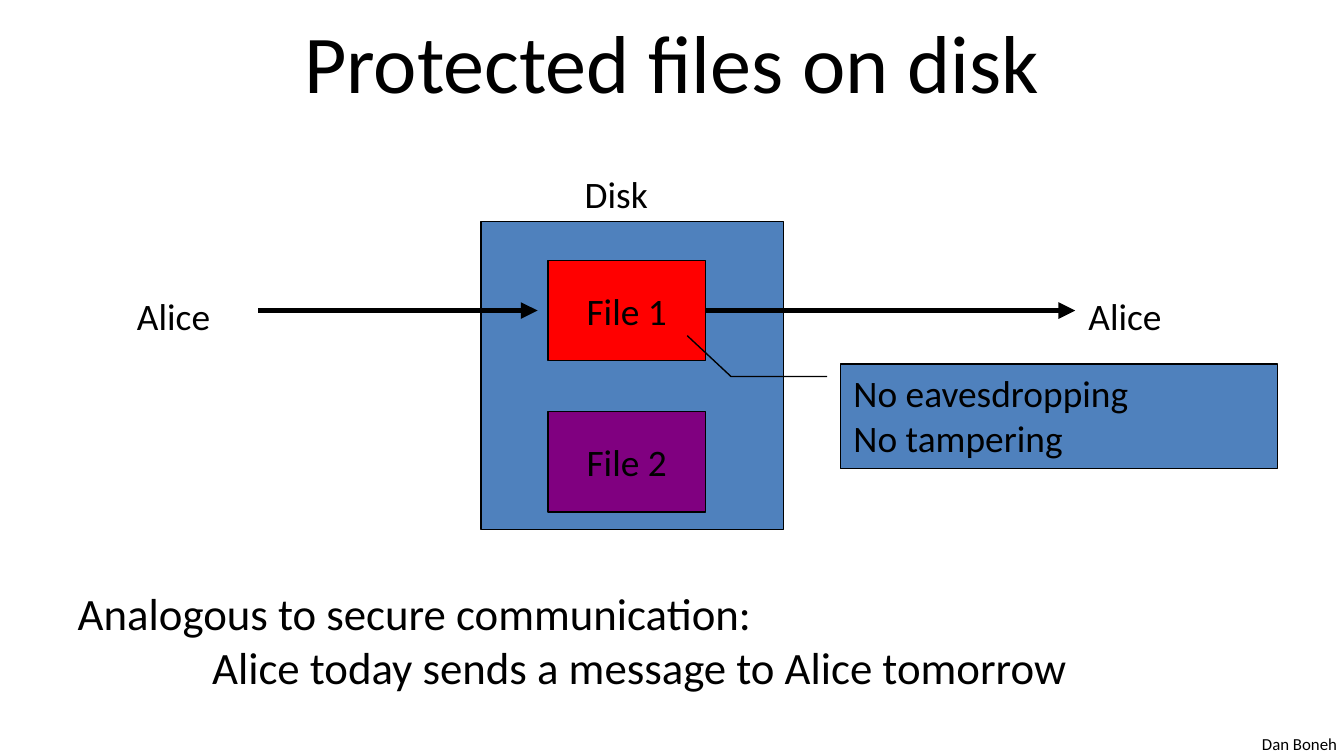
from lxml.etree import SubElement
from pptx import Presentation
from pptx.dml.color import RGBColor
from pptx.enum.shapes import MSO_CONNECTOR, MSO_SHAPE
from pptx.enum.text import MSO_ANCHOR as Anchor, MSO_AUTO_SIZE as AutoSize, PP_ALIGN as Align
from pptx.oxml.ns import qn
from pptx.util import Cm, Pt

THEME = {
    "font": "Calibri",
    "ink": "000000", "panel": "4F81BD", "file_1": "FF0000", "file_2": "800080",
    "title": 44, "body": 24, "label": 20, "footer": 9,
    "outline": 0.75, "arrow": 3,
}

TITLE = "Protected files on disk"
TITLE_BOX = (1.27, -0.05, 22.86, 2.39)
DISK_BOX = (9.09, 4.19, 5.72, 5.82)
FILES = [("File 1", "file_1"), ("File 2", "file_2")]
FILE_LEFT, FILE_TOP, FILE_WIDTH, FILE_HEIGHT, FILE_STEP = 10.36, 4.92, 2.97, 1.9, 2.86
LABELS = [
    ("Disk", (10.8, 3.12, 2.18, 1.12)),
    ("Alice", (2.34, 5.41, 2.36, 1.12)),
    ("Alice", (20.32, 5.41, 2.36, 1.12)),
]
ARROW_Y = FILE_TOP + FILE_HEIGHT / 2
ARROWS = [(4.88, 10.16), (FILE_LEFT + FILE_WIDTH, 20.32)]
GUARANTEES = ["No eavesdropping", "No tampering"]
CALLOUT_BOX = (15.88, 6.88, 8.26, 1.98)
CALLOUT_POINTS = (0.12, -0.03, 0.12, -0.25, -0.27, -0.35)
ANALOGY = ["Analogous to secure communication:", "Alice today sends a message to Alice tomorrow"]
ANALOGY_BOX = (1.22, 10.95, 23.57, 2.31)
ANALOGY_INDENT = 2.54
FOOTER = "Dan Boneh"
FOOTER_BOX = (23.6, 13.74, 1.93, 0.64)


def color(name):
    return RGBColor.from_string(THEME[name])


def lengths(box):
    return [Cm(value) for value in box]


def write(shape, lines, size="label", align=Align.LEFT, anchor=Anchor.TOP, wrap=True, indent=0):
    frame = shape.text_frame
    frame.word_wrap = wrap
    frame.auto_size = AutoSize.NONE
    frame.vertical_anchor = anchor
    for index, line in enumerate(lines):
        paragraph = frame.add_paragraph() if index else frame.paragraphs[0]
        paragraph.text = line
        paragraph.alignment = align
        if index and indent:
            paragraph._p.get_or_add_pPr().set("marL", str(Cm(indent)))
        paragraph.font.name = THEME["font"]
        paragraph.font.size = Pt(THEME[size])
        paragraph.font.color.rgb = color("ink")


def add_box(slide, kind, box, fill):
    shape = slide.shapes.add_shape(kind, *lengths(box))
    shape.shadow.inherit = False
    shape.fill.solid()
    shape.fill.fore_color.rgb = color(fill)
    shape.line.color.rgb = color("ink")
    shape.line.width = Pt(THEME["outline"])
    return shape


def add_arrow(slide, start, end):
    arrow = slide.shapes.add_connector(
        MSO_CONNECTOR.STRAIGHT, *lengths((start, ARROW_Y, end, ARROW_Y)))
    arrow.line.color.rgb = color("ink")
    arrow.line.width = Pt(THEME["arrow"])
    SubElement(arrow.line._get_or_add_ln(), qn("a:tailEnd"), type="triangle")
    SubElement(arrow._element.spPr, qn("a:effectLst"))
    return arrow


def main():
    presentation = Presentation()
    presentation.slide_width, presentation.slide_height = Cm(25.4), Cm(14.29)
    slide = presentation.slides.add_slide(presentation.slide_layouts[5])

    title = slide.shapes.title
    title.left, title.top, title.width, title.height = lengths(TITLE_BOX)
    write(title, [TITLE], size="title", align=Align.CENTER, anchor=Anchor.MIDDLE)

    add_box(slide, MSO_SHAPE.RECTANGLE, DISK_BOX, "panel")
    files = []
    for index, (name, fill) in enumerate(FILES):
        box = (FILE_LEFT, FILE_TOP + index * FILE_STEP, FILE_WIDTH, FILE_HEIGHT)
        file = add_box(slide, MSO_SHAPE.RECTANGLE, box, fill)
        write(file, [name], align=Align.CENTER, anchor=Anchor.MIDDLE, wrap=False)
        files.append(file)

    arrows = [add_arrow(slide, start, end) for start, end in ARROWS]
    arrows[1].begin_connect(files[0], 3)

    for text, box in LABELS:
        write(slide.shapes.add_textbox(*lengths(box)), [text])

    callout = add_box(slide, MSO_SHAPE.LINE_CALLOUT_2, CALLOUT_BOX, "panel")
    for index, point in enumerate(CALLOUT_POINTS):
        callout.adjustments[index] = point
    write(callout, GUARANTEES)

    analogy = slide.shapes.add_textbox(*lengths(ANALOGY_BOX))
    write(analogy, ANALOGY, size="body", indent=ANALOGY_INDENT)
    footer = slide.shapes.add_textbox(*lengths(FOOTER_BOX))
    write(footer, [FOOTER], size="footer", wrap=False)

    presentation.save("out.pptx")


if __name__ == "__main__":
    main()
